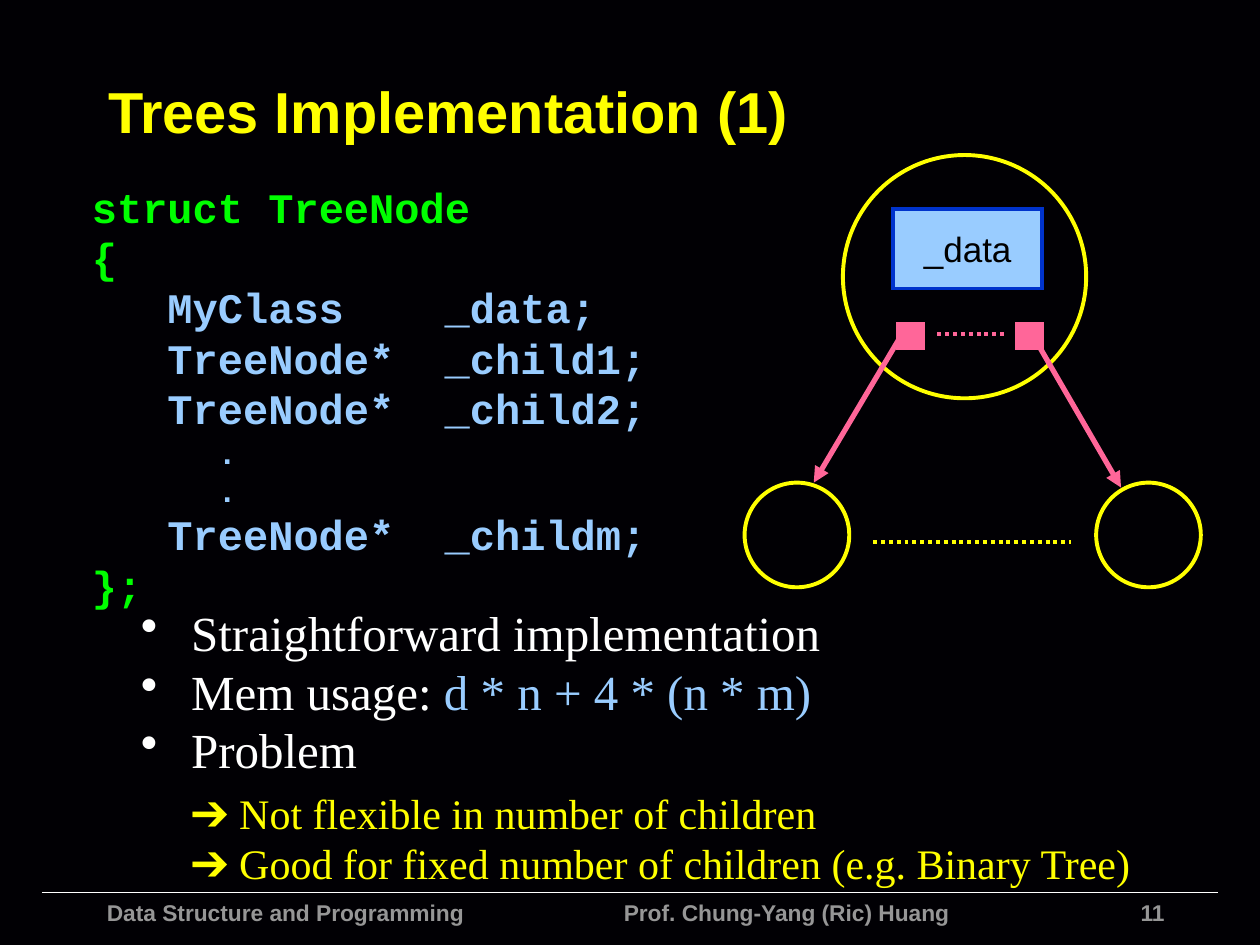
import pptx
import pptx.dml.color
import pptx.enum.dml
import pptx.enum.shapes
import pptx.enum.text
import pptx.oxml.ns
import pptx.util
from lxml import etree

Pt = pptx.util.Pt
Align = pptx.enum.text.PP_ALIGN
Anchor = pptx.enum.text.MSO_ANCHOR
Shape = pptx.enum.shapes.MSO_SHAPE
DOTTED = pptx.enum.dml.MSO_LINE.ROUND_DOT

YELLOW, GREEN, LIGHT_BLUE, PINK, WHITE = "FFFF00", "00FF00", "99CCFF", "FF6699", "FFFFFF"
FOOTER = {"name": "Arial", "size": Pt(13), "bold": True, "color": "969696"}
TITLE = {"name": "Arial", "size": Pt(33), "bold": True, "color": YELLOW}
LABEL = {"name": "Arial", "size": Pt(20), "color": "000000"}
KEYWORD = {"name": "Courier New", "size": Pt(24), "bold": True, "color": GREEN}
MEMBER = {**KEYWORD, "color": LIGHT_BLUE}
ELLIPSIS = {**MEMBER, "size": Pt(18)}
BODY = {"name": "Times New Roman", "size": Pt(28), "color": WHITE}
FORMULA = {**BODY, "color": LIGHT_BLUE}
REMARK = {**BODY, "size": Pt(24), "color": YELLOW}


def rgb(color):
    return pptx.dml.color.RGBColor.from_string(color)


def set_all(target, values):
    for name, value in values.items():
        setattr(target, name, value)


def add_child(parent, tag, **attributes):
    child = etree.SubElement(parent, pptx.oxml.ns.qn(tag))
    for name, value in attributes.items():
        child.set(name, str(value))
    return child


def add_runs(paragraph, runs):
    """Add (text, format) pairs to a paragraph."""
    for text, values in runs:
        run = paragraph.add_run()
        run.text = text
        for name, value in values.items():
            if name == "color":
                run.font.color.rgb = rgb(value)
            else:
                setattr(run.font, name, value)


def add_text(slide, box, paragraphs, frame_format=None, **paragraph_format):
    frame = slide.shapes.add_textbox(*map(Pt, box)).text_frame
    set_all(frame, {"word_wrap": True, **(frame_format or {})})
    for index, runs in enumerate(paragraphs):
        paragraph = frame.paragraphs[0] if index == 0 else frame.add_paragraph()
        set_all(paragraph, paragraph_format)
        add_runs(paragraph, runs)
    return frame.paragraphs


def indent(paragraph, left, first=0, bullet=None):
    properties = paragraph._p.get_or_add_pPr()
    properties.set("marL", str(Pt(left)))
    properties.set("indent", str(Pt(first)))
    if bullet:
        add_child(properties, "a:buChar", char=bullet)


def set_tabs(paragraph, *positions):
    tabs = add_child(paragraph._p.get_or_add_pPr(), "a:tabLst")
    for position in positions:
        add_child(tabs, "a:tab", pos=Pt(position), algn="l")


def add_node(slide, kind, box, line, fill=None):
    shape = slide.shapes.add_shape(kind, *map(Pt, box))
    shape.shadow.inherit = False
    shape.line.color.rgb = rgb(line)
    shape.line.width = Pt(2.25)
    add_child(shape.line._get_or_add_ln(), "a:miter", lim=800000)
    if fill:
        shape.fill.solid()
        shape.fill.fore_color.rgb = rgb(fill)
    else:
        shape.fill.background()
    return shape


def add_line(slide, start, end, color, width, dash=None, arrow=False):
    connector = slide.shapes.add_connector(
        pptx.enum.shapes.MSO_CONNECTOR.STRAIGHT, *map(Pt, start + end))
    connector.line.color.rgb = rgb(color)
    connector.line.width = Pt(width)
    if dash:
        connector.line.dash_style = dash
    if arrow:
        add_child(connector.line._get_or_add_ln(), "a:tailEnd", type="triangle")
    add_child(connector._element.spPr, "a:effectLst")


def add_footer(slide):
    add_line(slide, (24, 510), (696, 510), WHITE, 1)
    add_text(slide, (444, 510, 228.5, 13), [[("11", FOOTER)]], alignment=Align.RIGHT)
    footer = "Data Structure and Programming\tProf. Chung-Yang (Ric) Huang"
    set_tabs(add_text(slide, (54, 510, 521, 30), [[(footer, FOOTER)]])[0], 295.4)


def add_code(slide):
    lines = [
        ("struct TreeNode", KEYWORD),
        ("{", KEYWORD),
        ("\tMyClass\t_data;", MEMBER),
        ("\tTreeNode*\t_child1;", MEMBER),
        ("\tTreeNode*\t_child2;", MEMBER),
        ("\t.", ELLIPSIS),
        ("\t.", ELLIPSIS),
        ("\tTreeNode*\t_childm;", MEMBER),
        ("};", KEYWORD),
    ]
    paragraphs = add_text(slide, (45.4, 100, 351.4, 258), [[line] for line in lines])
    for paragraph, (_, values) in zip(paragraphs, lines):
        set_tabs(paragraph, *((72,) if values is ELLIPSIS else (43.2, 201.6)))


def add_points(slide):
    points = [
        [("Straightforward implementation", BODY)],
        [("Mem usage: ", BODY), ("d * n + 4 * (n * m)", FORMULA)],
        [("Problem", BODY)],
    ]
    remarks = [
        [("➔ Not flexible in number of children", REMARK)],
        [("➔ Good for fixed number of children (e.g. Binary Tree)", REMARK)],
    ]
    paragraphs = add_text(slide, (73.4, 340.6, 604, 172), points + remarks)
    paragraphs[len(points)].space_before = Pt(5)
    for paragraph in paragraphs[:len(points)]:
        indent(paragraph, 28.8, -28.8, "•")
    for paragraph in paragraphs[len(points):]:
        indent(paragraph, 28.8)


def add_tree(slide):
    add_node(slide, Shape.OVAL, (481.7, 88.6, 139, 139), YELLOW)
    data = add_node(slide, Shape.RECTANGLE, (510.5, 119.5, 85, 45.4), "0033CC", LIGHT_BLUE)
    margins = {f"margin_{side}": Pt(3.6) for side in ("left", "top", "right", "bottom")}
    set_all(data.text_frame, {"word_wrap": False, "vertical_anchor": Anchor.MIDDLE, **margins})
    paragraph = data.text_frame.paragraphs[0]
    paragraph.alignment = Align.CENTER
    add_runs(paragraph, [("_data", LABEL)])

    for child_left in (425.5, 626.4):
        add_node(slide, Shape.OVAL, (child_left, 275.8, 59.8, 59.8), YELLOW)
    add_line(slide, (499, 309.6), (612, 309.6), YELLOW, 2.25, DOTTED)

    for pointer_left in (513.2, 581.2):
        add_node(slide, Shape.RECTANGLE, (pointer_left, 185, 14.2, 14.2), PINK, PINK)
    add_line(slide, (535.7, 190.8), (575.3, 190.8), PINK, 2.25, DOTTED)
    for start, end in (((515.5, 190.8), (465, 275.8)), ((589.7, 190.8), (640.6, 278.6))):
        add_line(slide, start, end, PINK, 3, arrow=True)


def main():
    presentation = pptx.Presentation()
    set_all(presentation, {"slide_width": Pt(720), "slide_height": Pt(540)})
    slide = presentation.slides.add_slide(presentation.slide_layouts[6])
    slide.background.fill.solid()
    slide.background.fill.fore_color.rgb = rgb("010004")
    add_footer(slide)
    add_text(slide, (54.7, 26.6, 636.5, 72.7), [[("Trees Implementation (1)", TITLE)]],
             {"vertical_anchor": Anchor.MIDDLE})
    add_code(slide)
    add_points(slide)
    add_tree(slide)
    presentation.save("out.pptx")


if __name__ == "__main__":
    main()
